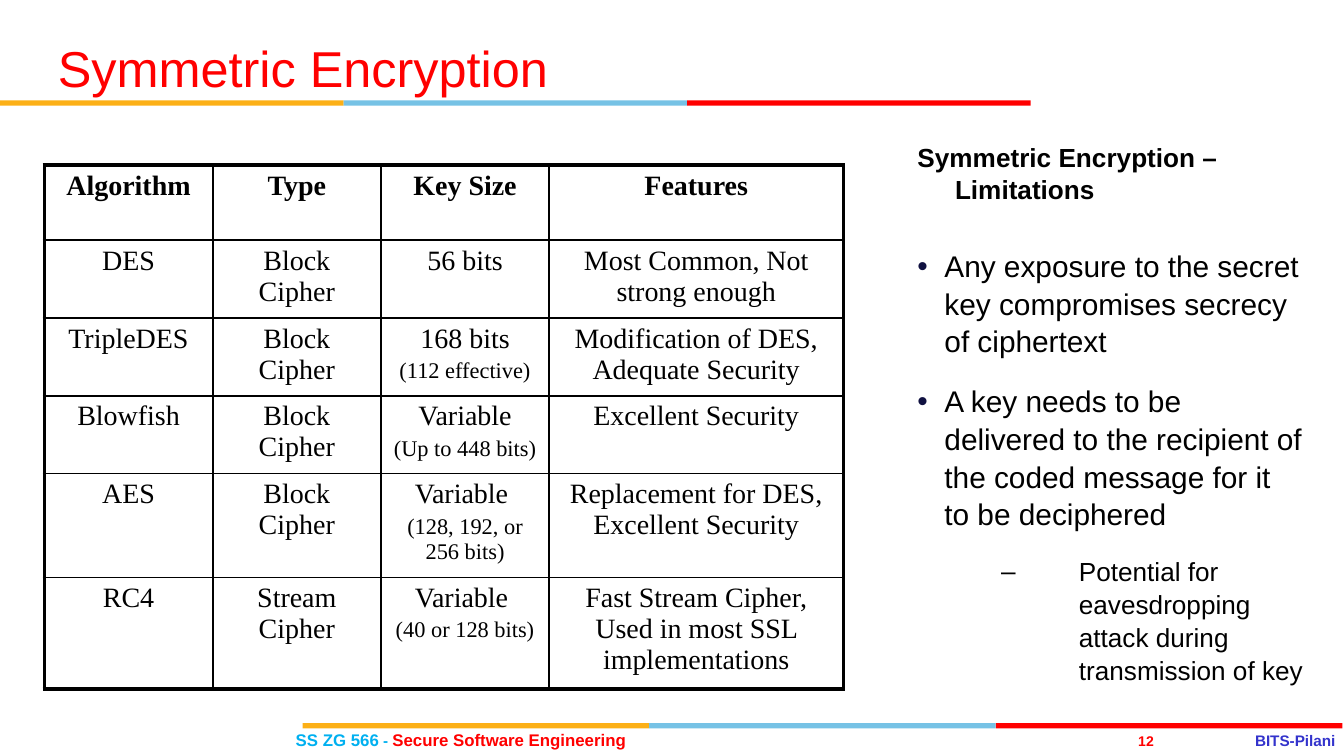
from lxml import etree
from pptx import Presentation
from pptx import util as u
from pptx.dml.color import RGBColor
from pptx.enum import shapes, text
from pptx.oxml import ns

BLACK = RGBColor(0x00, 0x00, 0x00)
RED = RGBColor(0xFF, 0x00, 0x00)
YELLOW = RGBColor(0xFC, 0xB0, 0x17)
SKY = RGBColor(0x76, 0xC2, 0xE5)
CYAN = RGBColor(0x00, 0xB0, 0xF0)
INDIGO = RGBColor(0x33, 0x33, 0xCC)
NAVY = RGBColor(0x10, 0x11, 0x41)

SANS, SERIF = "Arial", "Times New Roman"
CENTER, LEFT = text.PP_ALIGN.CENTER, text.PP_ALIGN.LEFT
MIDDLE = text.MSO_ANCHOR.MIDDLE
NO_MARGINS = dict.fromkeys(
    ("margin_left", "margin_top", "margin_right", "margin_bottom"), 0)

COLUMN_WIDTHS = (3.18, 3.18, 3.18, 5.56)
ROW_HEIGHTS = (1.42, 1.45, 1.45, 1.45, 1.96, 2.08)
CIPHERS = (
    ("Algorithm", "Type", "Key Size", "Features"),
    ("DES", "Block Cipher", "56 bits", "Most Common, Not strong enough"),
    ("TripleDES", "Block Cipher", "168 bits\n(112 effective)",
     "Modification of DES, Adequate Security"),
    ("Blowfish", "Block Cipher", "Variable\n(Up to 448 bits)",
     "Excellent Security"),
    ("AES", "Block Cipher", "Variable \n(128, 192, or 256 bits)",
     "Replacement for DES, Excellent Security"),
    ("RC4", "Stream Cipher", "Variable \n(40 or 128 bits)",
     "Fast Stream Cipher, Used in most SSL implementations"),
)
LIMITATIONS = (
    ("Any exposure to the secret key compromises secrecy of ciphertext",
     16, "•", 0.51, -0.51, 22),
    ("A key needs to be delivered to the recipient of the coded message "
     "for it to be deciphered", 16, "•", 0.51, -0.51, 6),
    ("Potential for eavesdropping attack during transmission of key",
     14, "–", 3.05, -1.47, 6),
)


def apply_format(target, values):
    """Set every attribute named in values on the target."""
    for name, value in values.items():
        setattr(target, name, value)


def cm_box(box):
    """Convert a box in centimetres to lengths."""
    return [u.Cm(value) for value in box]


def add_span(para, words, size, color, bold=False, font=SANS):
    """Append a formatted run to a paragraph."""
    span = para.add_run()
    span.text = words
    apply_format(span.font, {"name": font, "size": u.Pt(size), "bold": bold})
    span.font.color.rgb = color


def set_indent(para, margin, indent, bullet=None, bullet_color=None):
    """Give a paragraph a hanging indent and an optional bullet."""
    properties = para._p.get_or_add_pPr()
    properties.set("marL", str(u.Cm(margin)))
    properties.set("indent", str(u.Cm(indent)))
    if bullet_color:
        holder = etree.SubElement(properties, ns.qn("a:buClr"))
        etree.SubElement(holder, ns.qn("a:srgbClr"), val=str(bullet_color))
    if bullet:
        etree.SubElement(properties, ns.qn("a:buFont"), typeface=SANS)
        etree.SubElement(properties, ns.qn("a:buChar"), char=bullet)


def set_borders(cell, widths):
    """Draw the left, right, top and bottom borders of a cell."""
    properties = cell._tc.get_or_add_tcPr()
    for index, (side, width) in enumerate(zip("LRTB", widths)):
        line = etree.Element(ns.qn(f"a:ln{side}"), w=str(u.Pt(width)))
        fill = etree.SubElement(line, ns.qn("a:solidFill"))
        etree.SubElement(fill, ns.qn("a:srgbClr"), val=str(BLACK))
        properties.insert(index, line)


def add_title(page, box):
    """Place and format the slide title."""
    title = page.shapes.title
    apply_format(title, dict(zip(("left", "top", "width", "height"), cm_box(box))))
    apply_format(title.text_frame, {"vertical_anchor": MIDDLE, "word_wrap": True,
                                    "auto_size": text.MSO_AUTO_SIZE.NONE})
    para = title.text_frame.paragraphs[0]
    apply_format(para, {"alignment": LEFT, "line_spacing": u.Pt(27)})
    add_span(para, "Symmetric Encryption", 27, RED)


def add_stripe(page, box):
    """Fill a box with three equal coloured bars."""
    left, top, width, height = box
    third = width / 3
    for index, color in enumerate((YELLOW, SKY, RED)):
        bar = page.shapes.add_shape(
            shapes.MSO_SHAPE.RECTANGLE,
            *cm_box((left + index * third, top, third, height)))
        bar.shadow.inherit = False
        bar.fill.solid()
        bar.fill.fore_color.rgb = color
        bar.line.fill.background()


def add_label(page, box, spans, alignment=LEFT):
    """Place a one-line footer label made of bold spans."""
    frame = page.shapes.add_textbox(*cm_box(box)).text_frame
    apply_format(frame, {**NO_MARGINS, "vertical_anchor": MIDDLE,
                         "word_wrap": False})
    para = frame.paragraphs[0]
    para.alignment = alignment
    for words, size, color in spans:
        add_span(para, words, size, color, bold=True)


def add_footer(page, box):
    """Place the footer stripe and its three labels."""
    left, top, width, height = box
    add_stripe(page, (left, top, width, 0.1))
    add_label(page, (left - 0.13, top + 0.12, 7.01, 0.38),
              (("SS ZG 566", 9, CYAN), (" - ", 8.2, CYAN),
               ("Secure Software Engineering", 9, RED)))
    add_label(page, (left + 15.62, top + 0.17, 0.64, 0.33),
              (("12", 7.5, RED),), CENTER)
    add_label(page, (left + 18, top + 0.15, 1.63, 0.36),
              (("BITS-Pilani", 8.2, INDIGO),))


def add_cipher_table(page, box):
    """Place the comparison table of ciphers."""
    table = page.shapes.add_table(
        len(CIPHERS), len(COLUMN_WIDTHS), *cm_box(box)).table
    apply_format(table, {"first_row": False, "horz_banding": False})
    for column, width in zip(table.columns, COLUMN_WIDTHS):
        column.width = u.Cm(width)
    last_row, last_column = len(CIPHERS) - 1, len(COLUMN_WIDTHS) - 1
    for r, (row, height) in enumerate(zip(CIPHERS, ROW_HEIGHTS)):
        table.rows[r].height = u.Cm(height)
        for c, words in enumerate(row):
            cell = table.cell(r, c)
            apply_format(cell, {"margin_left": u.Cm(0.18), "margin_right": u.Cm(0.18),
                                "margin_top": u.Cm(0.1), "margin_bottom": u.Cm(0.1)})
            cell.fill.background()
            outer = (c == 0, c == last_column, r == 0, r == last_row)
            set_borders(cell, [2.25 if edge else 1 for edge in outer])
            for index, line in enumerate(words.split("\n")):
                frame = cell.text_frame
                para = frame.add_paragraph() if index else frame.paragraphs[0]
                para.alignment = CENTER
                if index:
                    para.space_before = u.Pt(2.4)
                add_span(para, line, 12 if index else 15, BLACK, r == 0, SERIF)


def add_limitations(page, box):
    """Place the heading and bullets on limitations."""
    frame = page.shapes.add_textbox(*cm_box(box)).text_frame
    frame.word_wrap = True
    heading = frame.paragraphs[0]
    set_indent(heading, 0.71, -0.71)
    heading.line_spacing = 1.05
    add_span(heading, "Symmetric Encryption – Limitations", 14, BLACK, bold=True)
    for words, size, bullet, margin, indent, before in LIMITATIONS:
        para = frame.add_paragraph()
        set_indent(para, margin, indent, bullet, NAVY if bullet == "•" else BLACK)
        apply_format(para, {"level": int(bullet == "–"), "line_spacing": 1.05,
                            "space_before": u.Pt(before), "space_after": u.Pt(6)})
        add_span(para, words, size, BLACK)


def main():
    """Build the slide and save the deck."""
    deck = Presentation()
    apply_format(deck, {"slide_width": u.Cm(25.4), "slide_height": u.Cm(14.29)})
    page = deck.slides.add_slide(deck.slide_layouts[5])
    add_stripe(page, (0, 1.9, 19.48, 0.1))
    add_footer(page, (5.72, 13.67, 19.65, 0.51))
    add_limitations(page, (17.09, 2.51, 7.8, 10.8))
    add_title(page, (0.84, 0.58, 17.55, 1.57))
    add_cipher_table(page, (0.84, 3.12, sum(COLUMN_WIDTHS), sum(ROW_HEIGHTS)))
    deck.save("out.pptx")


if __name__ == "__main__":
    main()
